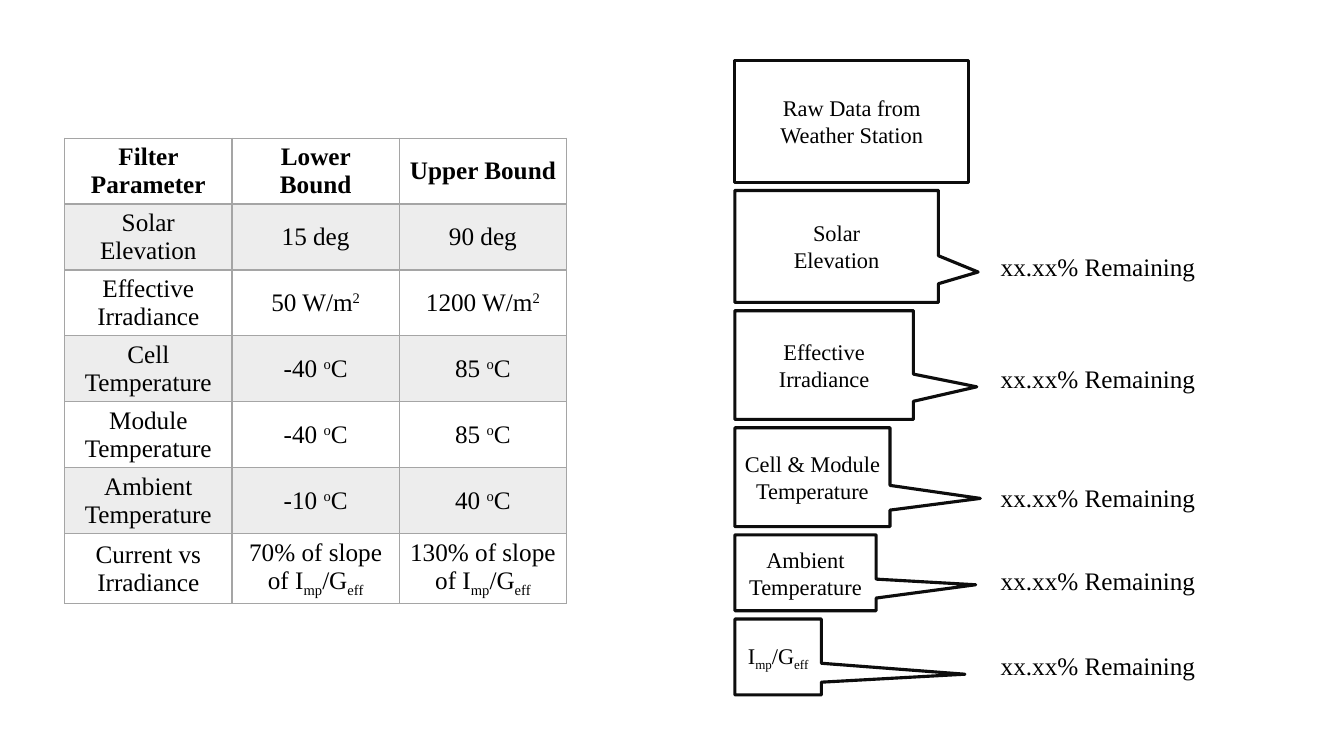
from lxml import etree
from pptx import Presentation
from pptx import util as u
from pptx.dml.color import RGBColor
from pptx.enum import shapes, text
from pptx.oxml.ns import qn

BLACK = RGBColor(0x00, 0x00, 0x00)
OUTLINE = RGBColor(0x0D, 0x0D, 0x0D)
BAND = RGBColor(0xED, 0xED, 0xED)
GRID = RGBColor(0xA5, 0xA5, 0xA5)
FONT = "Times New Roman"

# "|" separates runs; these runs are raised or lowered (percent)
SCRIPTS = {"2": 30, "o": 30, "mp": -25, "eff": -25}

BOUNDS = [
    ("Filter Parameter", "Lower Bound", "Upper Bound"),
    ("Solar Elevation", "15 deg", "90 deg"),
    ("Effective Irradiance", "50 W/m|2", "1200 W/m|2"),
    ("Cell Temperature", "-40 |o|C", "85 |o|C"),
    ("Module Temperature", "-40 |o|C", "85 |o|C"),
    ("Ambient Temperature", "-10 |o|C", "40 |o|C"),
    ("Current vs Irradiance", "70% of slope of I|mp|/G|eff", "130% of slope of I|mp|/G|eff"),
]

# label, width, height, pointer (x, y), top of the remark; lengths in cm
STAGES = [
    ("Raw Data from Weather Station", 5.89, 3.07, None, None),
    ("Solar\vElevation", 5.13, 2.82, (0.695, 0.229), 6.22),
    ("Effective Irradiance", 4.5, 2.74, (0.855, 0.2), 9.04),
    ("Cell & Module Temperature", 3.91, 2.49, (1.082, 0.215), 12.04),
    ("Ambient Temperature", 3.56, 1.91, (1.205, 0.158), 14.12),
    ("I|mp|/G|eff", 2.18, 1.91, (2.16, 0.228), 16.26),
]


def write(tf, words, size, align=text.PP_ALIGN.CENTER, bold=False):
    p = tf.paragraphs[0]
    p.alignment = align
    fmt = {"name": FONT, "size": u.Pt(size), "bold": bold}
    for n, line in enumerate(words.split("\v")):
        if n:
            p.add_line_break()
        for part in line.split("|"):
            r = p.add_run()
            r.text = part
            for key, value in fmt.items():
                setattr(r.font, key, value)
            r.font.color.rgb = BLACK
            if part in SCRIPTS:
                r._r.get_or_add_rPr().set("baseline", str(SCRIPTS[part] * 1000))


def set_borders(cell, widths):
    """Insert the four cell lines ahead of the fill."""
    tcPr = cell._tc.get_or_add_tcPr()
    for n, (side, width) in enumerate(widths.items()):
        ln = etree.Element(qn("a:ln" + side), w=str(u.Pt(width)))
        fill = etree.SubElement(ln, qn("a:solidFill"))
        etree.SubElement(fill, qn("a:srgbClr"), val=str(GRID))
        tcPr.insert(n, ln)


def bounds_table(s, left, top, width, row_height):
    rows, cols = len(BOUNDS), len(BOUNDS[0])
    tbl = s.shapes.add_table(rows, cols, u.Cm(left), u.Cm(top), u.Cm(width),
                             u.Cm(row_height * rows)).table
    tbl.first_row = tbl.horz_banding = False
    for i, row in enumerate(BOUNDS):
        tbl.rows[i].height = u.Cm(row_height)
        for j, words in enumerate(row):
            cell = tbl.cell(i, j)
            cell.vertical_anchor = text.MSO_ANCHOR.MIDDLE
            write(cell.text_frame, words, 18, bold=i == 0)
            if i % 2:
                cell.fill.solid()
                cell.fill.fore_color.rgb = BAND
            else:
                cell.fill.background()
            # Heavier rule under the header
            set_borders(cell, {"L": 1, "R": 1, "T": 2 if i == 1 else 1, "B": 2 if i == 0 else 1})


def stage_box(s, left, top, width, height, label, pointer):
    kind = shapes.MSO_SHAPE.RECTANGULAR_CALLOUT if pointer else shapes.MSO_SHAPE.RECTANGLE
    sp = s.shapes.add_shape(kind, u.Cm(left), u.Cm(top), u.Cm(width), u.Cm(height))
    for n, value in enumerate(pointer or ()):
        sp.adjustments[n] = value
    sp.shadow.inherit = False
    sp.fill.background()
    sp.line.color.rgb = OUTLINE
    sp.line.width = u.Pt(2.25)
    sp.text_frame.vertical_anchor = text.MSO_ANCHOR.MIDDLE
    write(sp.text_frame, label, 16)


def remark(s, left, top):
    sp = s.shapes.add_textbox(u.Cm(left), u.Cm(top), u.Cm(5.46), u.Cm(1.03))
    sp.text_frame.word_wrap = False
    write(sp.text_frame, "xx.xx% Remaining", 18, text.PP_ALIGN.LEFT)


def filter_funnel(s, left, top, gap, remark_left):
    for label, width, height, pointer, remark_top in STAGES:
        stage_box(s, left, top, width, height, label, pointer)
        if remark_top:
            remark(s, remark_left, remark_top)
        top += height + gap


def main():
    prs = Presentation()
    prs.slide_width, prs.slide_height = u.Cm(33.87), u.Cm(19.05)
    s = prs.slides.add_slide(prs.slide_layouts[6])
    # Left: filter limits; right: data left after each filter
    bounds_table(s, left=1.63, top=3.48, width=12.65, row_height=1.66)
    filter_funnel(s, left=18.52, top=1.52, gap=0.21, remark_left=24.97)
    prs.save("out.pptx")


if __name__ == "__main__":
    main()
